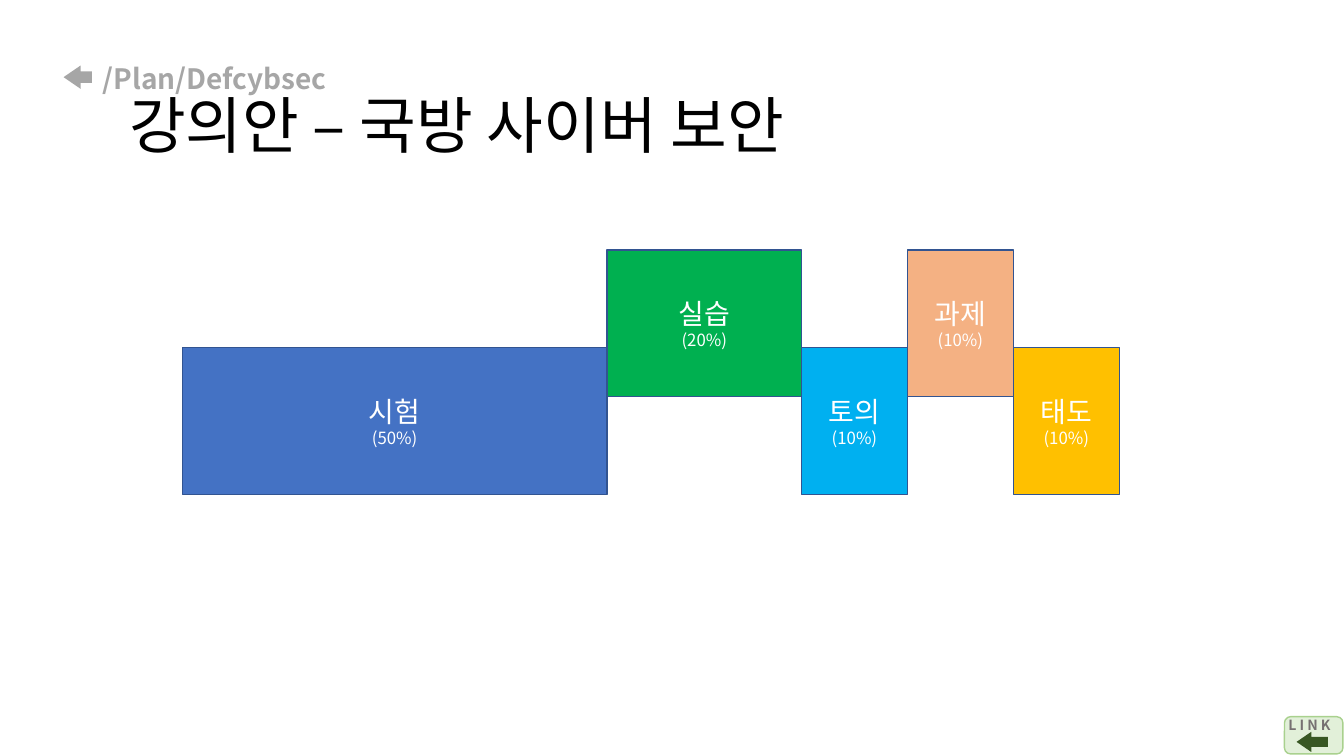
from pptx import Presentation
from pptx.dml.color import RGBColor
from pptx.enum.shapes import MSO_SHAPE
from pptx.enum.text import MSO_ANCHOR, MSO_AUTO_SIZE, PP_ALIGN
from pptx.oxml.ns import qn
from pptx.util import Inches, Pt
from lxml import etree

RECT, ROUND, ARROW = MSO_SHAPE.RECTANGLE, MSO_SHAPE.ROUNDED_RECTANGLE, MSO_SHAPE.LEFT_ARROW
LEFT, CENTER = PP_ALIGN.LEFT, PP_ALIGN.CENTER
TOP, MIDDLE = MSO_ANCHOR.TOP, MSO_ANCHOR.MIDDLE
FIXED = MSO_AUTO_SIZE.NONE
TITLE_ONLY = 5


def rgb(value):
    return RGBColor.from_string(value)


class Deck:
    """Holds the style and the current slide; lengths are percentages of the slide size."""

    font = "Noto Sans CJK KR"
    outline = "325491"

    def __init__(self, width, height):
        self.prs = Presentation()
        self.prs.slide_width, self.prs.slide_height = Inches(width), Inches(height)
        self.s = self.prs.slides.add_slide(self.prs.slide_layouts[TITLE_ONLY])

    def box(self, x, y, w, h):
        across, down = self.prs.slide_width / 100, self.prs.slide_height / 100
        return [round(v) for v in (x * across, y * down, w * across, h * down)]

    def add_text(self, p, text, size, color, bold=False, align=LEFT, spacing=1.0, indent=0):
        p.alignment, p.line_spacing = align, spacing
        pPr = p._p.get_or_add_pPr()
        pPr.set("marL", str(Inches(indent)))
        pPr.set("indent", "0")
        r = p.add_run()
        r.text = text
        r.font.name, r.font.size, r.font.bold = self.font, Pt(size), bold
        r.font.color.rgb = rgb(color)
        ea = etree.SubElement(r._r.get_or_add_rPr(), qn("a:ea"))
        ea.set("typeface", self.font)

    def fill_text(self, sp, lines, anchor=MIDDLE, **style):
        tf = sp.text_frame
        tf.word_wrap, tf.auto_size, tf.vertical_anchor = True, FIXED, anchor
        for i, (text, form) in enumerate(lines):
            p = tf.add_paragraph() if i else tf.paragraphs[0]
            self.add_text(p, text, **{**style, **form})

    def title(self, box, lines):
        sp = self.s.shapes.title
        sp.left, sp.top, sp.width, sp.height = self.box(*box)
        self.fill_text(sp, lines, spacing=0.9)

    def shape(self, kind, box, fill, line=None, parent=None):
        sp = (parent or self.s).shapes.add_shape(kind, *self.box(*box))
        sp.shadow.inherit = False
        sp.fill.solid()
        sp.fill.fore_color.rgb = rgb(fill)
        if line:
            sp.line.color.rgb, sp.line.width = rgb(line), Pt(1)
        else:
            sp.line.fill.background()
        return sp

    def arrow(self, box, fill, parent=None):
        sp = self.shape(ARROW, box, fill, parent=parent)
        sp.adjustments[0], sp.adjustments[1] = 0.5, 0.73

    def bar(self, box, name, share, fill):
        sp = self.shape(RECT, box, fill, self.outline)
        lines = [(name, {"size": 20}), (f"({share}%)", {"size": 12})]
        self.fill_text(sp, lines, color="FFFFFF", align=CENTER)

    def link_badge(self):
        group = self.s.shapes.add_group_shape()
        self.shape(ROUND, (95.57, 94.8, 4.35, 4.93), "E2F0D9", "A9D18E", group)
        sp = group.shapes.add_textbox(*self.box(95.12, 94.13, 5.55, 5.87))
        self.fill_text(sp, [("L I N K", {})], TOP, size=10, color="767171", bold=True)
        self.arrow((96.47, 96.8, 2.33, 2.67), "385723", group)


def main():
    deck = Deck(13.33, 7.5)
    deck.title((6.9, 5.33, 86.27, 19.33), [
        ("/Plan/Defcybsec", {"size": 20, "color": "A6A6A6", "bold": True}),
        ("강의안 – 국방 사이버 보안", {"size": 44, "color": "000000", "indent": 0.26}),
    ])
    deck.arrow((4.73, 8.67, 2.1, 3.07), "A6A6A6")

    grades = [
        ("시험", 50, 31.58, "4472C4"),
        ("실습", 20, 14.48, "00B050"),
        ("토의", 10, 7.88, "00B0F0"),
        ("과제", 10, 7.88, "F4B183"),
        ("태도", 10, 7.88, "FFC000"),
    ]
    x, bar_height = 13.58, 19.4
    tops = (46, 33.07)
    for i, (name, share, width, fill) in enumerate(grades):
        deck.bar((x, tops[i % 2], width, bar_height), name, share, fill)
        x += width

    deck.link_badge()
    deck.prs.save("out.pptx")


if __name__ == "__main__":
    main()
